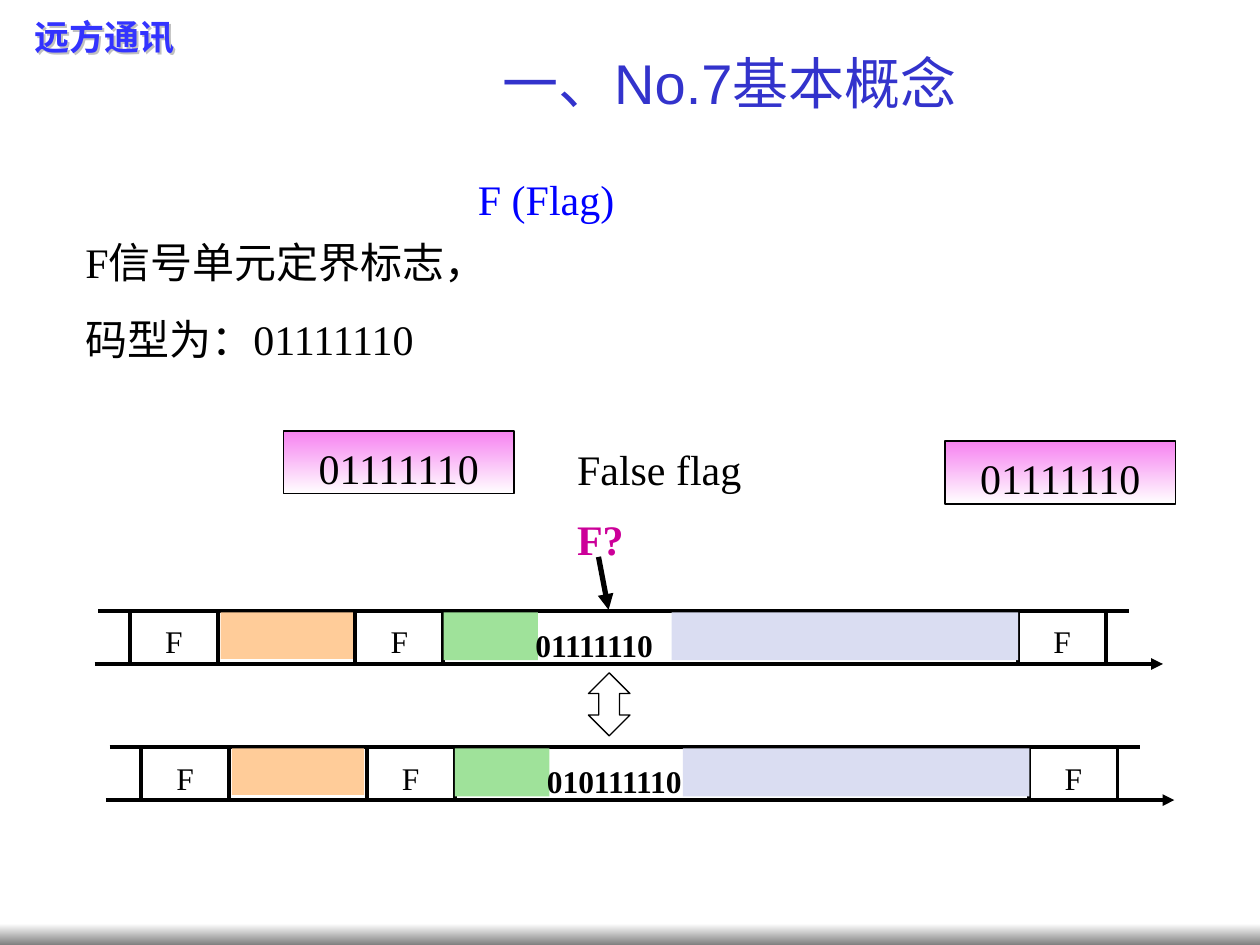
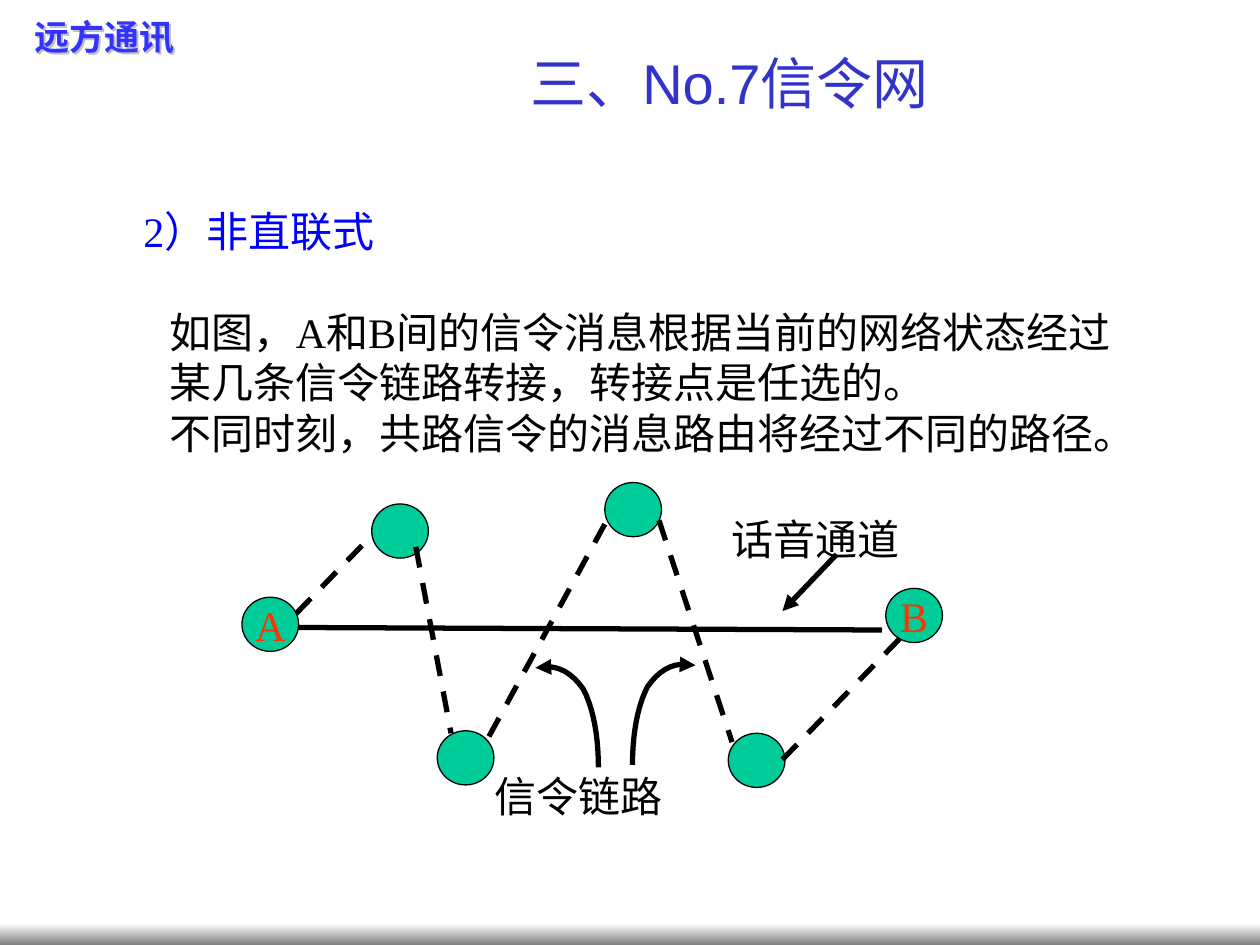
import pptx
import pptx.util
import pptx.dml.color
import pptx.enum.dml
import pptx.enum.lang
import pptx.enum.shapes
import pptx.enum.text
import pptx.oxml
import pptx.oxml.ns

Inches, Pt = pptx.util.Inches, pptx.util.Pt
Shape = pptx.enum.shapes.MSO_SHAPE
Align = pptx.enum.text.PP_ALIGN
Anchor = pptx.enum.text.MSO_ANCHOR
qn = pptx.oxml.ns.qn
NS = pptx.oxml.ns.nsdecls("a")


def rgb(value):
    return pptx.dml.color.RGBColor.from_string(value)


def xml(text):
    return pptx.oxml.parse_xml(text)


class Deck:
    BLACK, WHITE, BLUE = "000000", "FFFFFF", "0000FF"
    TITLE, BRAND = "3333CC", "3333FF"
    SERIF, SANS = "Times New Roman", "Arial"

    def __init__(self):
        self.prs = pptx.Presentation()
        self.prs.slide_width, self.prs.slide_height = Inches(10), Inches(7.5)
        self.s = None

    def slide(self, title):
        """Start a slide with its title, bottom band and brand name."""
        self.s = self.prs.slides.add_slide(self.prs.slide_layouts[5])
        self.shape(Shape.RECTANGLE, 0, 7.33, 10, 0.17, fill=(self.WHITE, "808080"))
        brand = self.text("远方通讯", 0.08, 0.07, 1.5, 0.44, size=20,
                          color=self.BRAND, bold=True, align=Align.CENTER)
        brand._element.spPr.append(xml(
            f'<a:effectLst {NS}><a:outerShdw dist="25400" dir="2700000">'
            '<a:srgbClr val="C0C0C0"/></a:outerShdw></a:effectLst>'))
        sp = self.s.shapes.title
        sp.left, sp.top = Inches(2), Inches(0.33)
        sp.width, sp.height = Inches(7.58), Inches(0.64)
        sp.text_frame.text = title
        sp.text_frame.auto_size = pptx.enum.text.MSO_AUTO_SIZE.NONE
        sp.text_frame.vertical_anchor = Anchor.MIDDLE
        self.format(sp.text_frame.paragraphs[0], 32, self.TITLE,
                    font=self.SANS, align=Align.CENTER)

    def format(self, p, size, color, bold=False, font=SERIF, align=Align.LEFT,
               spacing=None):
        """Style a paragraph; its Chinese characters are always sans serif."""
        p.alignment = align
        if spacing:
            p.line_spacing = spacing
        for r in p.runs:
            r.font.size, r.font.bold, r.font.name = Pt(size), bold, font
            r.font.color.rgb = rgb(color)
            r.font.language_id = pptx.enum.lang.MSO_LANGUAGE_ID.SIMPLIFIED_CHINESE
            latin = r.font.fill._xPr.find(qn("a:latin"))
            latin.addnext(xml(f'<a:ea {NS} typeface="{self.SANS}"/>'))

    def text(self, text, x, y, w, h, size=24, color=BLACK, inset=True, **style):
        sp = self.s.shapes.add_textbox(Inches(x), Inches(y), Inches(w), Inches(h))
        tf = sp.text_frame
        tf.text, tf.word_wrap = text, True
        if not inset:
            self.clear_margins(tf)
        for p in tf.paragraphs:
            self.format(p, size, color, **style)
        return sp

    def clear_margins(self, tf):
        tf.margin_left = tf.margin_right = tf.margin_top = tf.margin_bottom = 0

    def outline(self, line, width, color=BLACK):
        line.color.rgb, line.width = rgb(color), Pt(width)

    def shape(self, kind, x, y, w, h, fill=None, line=None, text="", size=24,
              color=BLACK, spacing=None):
        """Add a preset shape; a pair of fill colours makes a vertical gradient."""
        sp = self.s.shapes.add_shape(kind, Inches(x), Inches(y), Inches(w), Inches(h))
        sp.shadow.inherit = False
        if fill is None:
            sp.fill.background()
        elif isinstance(fill, tuple):
            sp.fill.gradient()
            sp.fill.gradient_angle = 270
            for stop, value in zip(sp.fill.gradient_stops, fill):
                stop.color.rgb = rgb(value)
        else:
            sp.fill.solid()
            sp.fill.fore_color.rgb = rgb(fill)
        if line:
            self.outline(sp.line, line)
        else:
            sp.line.fill.background()
        if text:
            tf = sp.text_frame
            tf.text, tf.word_wrap = text, False
            tf.vertical_anchor = Anchor.MIDDLE
            self.clear_margins(tf)
            self.format(tf.paragraphs[0], size, color, align=Align.CENTER,
                        spacing=spacing)
        return sp

    def line(self, x1, y1, x2, y2, width=3, dash=False, arrow=False):
        c = self.s.shapes.add_connector(
            pptx.enum.shapes.MSO_CONNECTOR.STRAIGHT,
            Inches(x1), Inches(y1), Inches(x2), Inches(y2))
        self.outline(c.line, width)
        if dash:
            c.line.dash_style = pptx.enum.dml.MSO_LINE.DASH
        if arrow:
            c.line._get_or_add_ln().append(xml(f'<a:tailEnd {NS} type="triangle"/>'))
        c._element.spPr.append(xml(f"<a:effectLst {NS}/>"))

    def curve(self, points):
        """Draw an open curve with an arrowhead at its first point."""
        start, *rest = [(Inches(x), Inches(y)) for x, y in points]
        builder = self.s.shapes.build_freeform(*start)
        builder.add_line_segments(rest, close=False)
        sp = builder.convert_to_shape()
        sp.shadow.inherit = False
        sp.fill.background()
        self.outline(sp.line, 3)
        sp.line._get_or_add_ln().append(xml(f'<a:headEnd {NS} type="triangle"/>'))


def bezier(a, b, c, d, steps=10):
    """Points after a on the cubic curve from a to d."""
    points = []
    for i in range(1, steps + 1):
        t = i / steps
        u = 1 - t
        points.append(tuple(u**3 * p + 3 * u * u * t * q + 3 * u * t * t * m + t**3 * n
                            for p, q, m, n in zip(a, b, c, d)))
    return points


def signal_stream(deck, x, y, bits):
    """Draw a row of signal units whose top rail starts at x, y."""
    for dx in (0.25, 2.04, 7.3):
        deck.shape(Shape.RECTANGLE, x + dx, y, 0.7, 0.42, fill=deck.WHITE, line=2.25,
                   text="F", size=18, spacing=1.2)
    deck.line(x, y, x + 8.18, y, width=2.25)
    deck.line(x - 0.03, y + 0.42, x + 8.45, y + 0.42, width=2.25, arrow=True)
    for dx, w, h, color in ((4.55, 2.75, 0.38, "DADDF2"), (2.74, 0.75, 0.38, "9FE29A"),
                            (0.97, 1.05, 0.37, "FFCC99")):
        deck.shape(Shape.RECTANGLE, x + dx, y + 0.01, w, h, fill=color)
    deck.text(bits, x + 3.47, y - 0.01, 2.33, 0.43, size=18, bold=True,
              inset=False, spacing=1.44)


def flag_slide(deck):
    deck.slide("一、No.7基本概念")
    deck.text("F (Flag)", 1.25, 1.33, 6.17, 0.5, color=deck.BLUE, align=Align.CENTER)
    meaning = deck.text("F信号单元定界标志，\n码型为：01111110", 0.58, 1.83, 6.17, 1.11)
    meaning.text_frame.paragraphs[1].space_before = Pt(15)
    signal_stream(deck, 0.78, 4.85, "01111110")
    for x, y in ((2.25, 3.42), (7.5, 3.5)):
        deck.shape(Shape.RECTANGLE, x, y, 1.83, 0.5, fill=("F682F0", deck.WHITE),
                   line=0.75, text="01111110", spacing=1.2)
    arrow = deck.shape(Shape.UP_DOWN_ARROW, 4.67, 5.34, 0.33, 0.5, line=0.75)
    arrow.adjustments[0], arrow.adjustments[1] = 0.3, 0.5
    signal_stream(deck, 0.87, 5.93, "010111110")
    deck.text("False flag", 4.58, 3.34, 2.58, 0.58, inset=False, spacing=1.44)
    deck.text("F?", 4.58, 3.9, 0.67, 0.58, color="CC0099", bold=True,
              inset=False, spacing=1.44)
    deck.line(4.75, 4.42, 4.83, 4.84, arrow=True)


def network_slide(deck):
    deck.slide("三、No.7信令网")
    deck.line(2.31, 4.98, 7, 5)
    deck.line(2.35, 4.87, 2.95, 4.25, dash=True)
    deck.text("话音通道", 5.71, 4.03, 2.74, 0.5)
    deck.text("信令链路", 3.83, 6.07, 2.21, 0.5)
    for x, y, name in ((1.92, 4.74, "A"), (2.95, 4, ""), (3.47, 5.8, ""),
                       (4.8, 3.83, ""), (5.78, 5.82, ""), (7.03, 4.67, "B")):
        deck.shape(Shape.OVAL, x, y, 0.45, 0.43, fill="00CC99", line=0.75,
                   text=name, color="FF3300")
    for link in ((3.3, 4.34, 3.58, 5.82), (5.23, 4.13, 5.81, 5.89),
                 (4.8, 4.16, 3.84, 5.92), (7.14, 5.07, 6.17, 6.07)):
        deck.line(*link, dash=True)

    tip, bend, foot = (5.52, 5.28), (5.14, 5.45), (5.02, 6.07)
    pointer = ([tip] + bezier(tip, (5.38, 5.25), (5.25, 5.29), bend)
               + bezier(bend, (5.06, 5.6), (5.02, 5.83), foot))
    deck.curve(pointer)
    deck.curve([(9.77 - x, y + 0.02) for x, y in pointer])
    deck.line(6.64, 4.4, 6.21, 4.85, arrow=True)

    body = deck.text(
        "2）非直联式\n"
        "如图，A和B间的信令消息根据当前的网络状态经过某几条信令链路转接，转接点是任选的。\n"
        "不同时刻，共路信令的消息路由将经过不同的路径。", 0.83, 1.58, 8.33, 2.25)
    heading, *details = body.text_frame.paragraphs
    for p, indent in ((heading, 0.21), *((p, 0.42) for p in details)):
        p._p.get_or_add_pPr().set("marL", str(Inches(indent)))
    for r in heading.runs:
        r.font.color.rgb = rgb(deck.BLUE)
    details[0].space_before = Pt(29)


def main():
    deck = Deck()
    flag_slide(deck)
    network_slide(deck)
    deck.prs.save("out.pptx")


if __name__ == "__main__":
    main()
